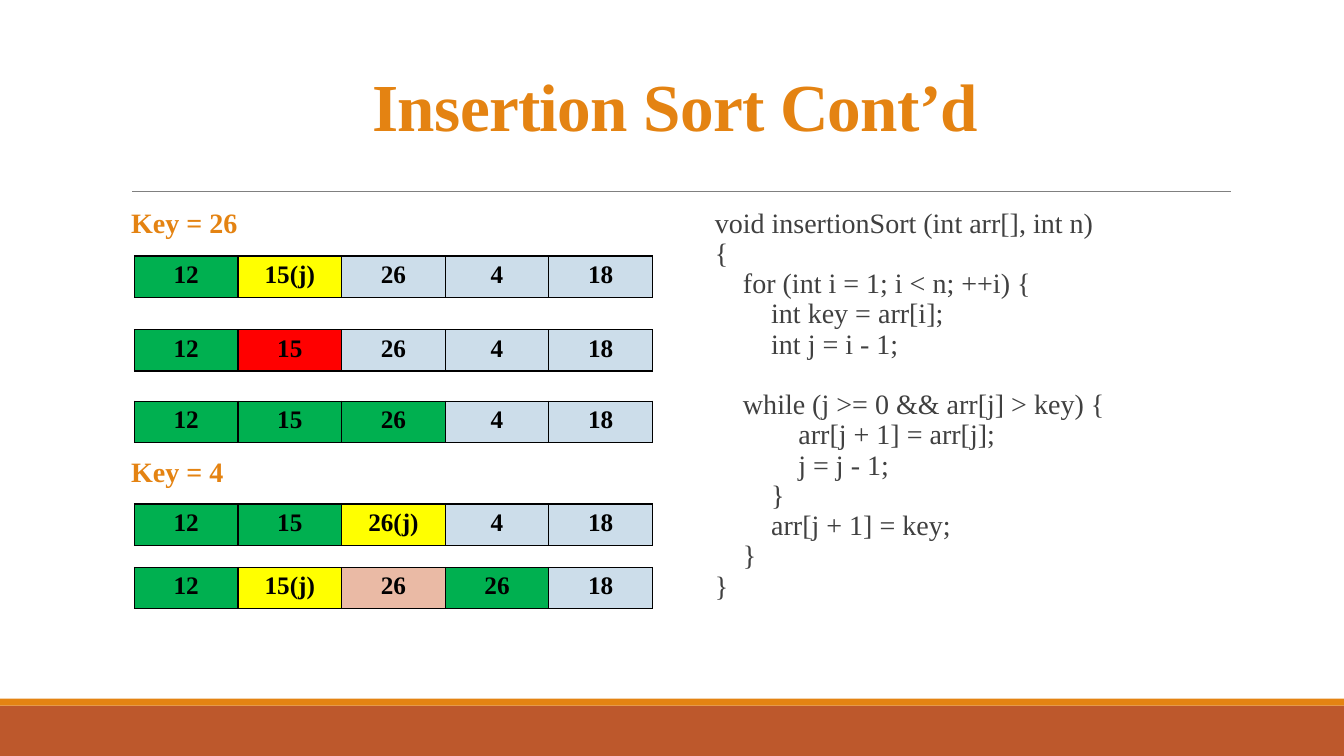
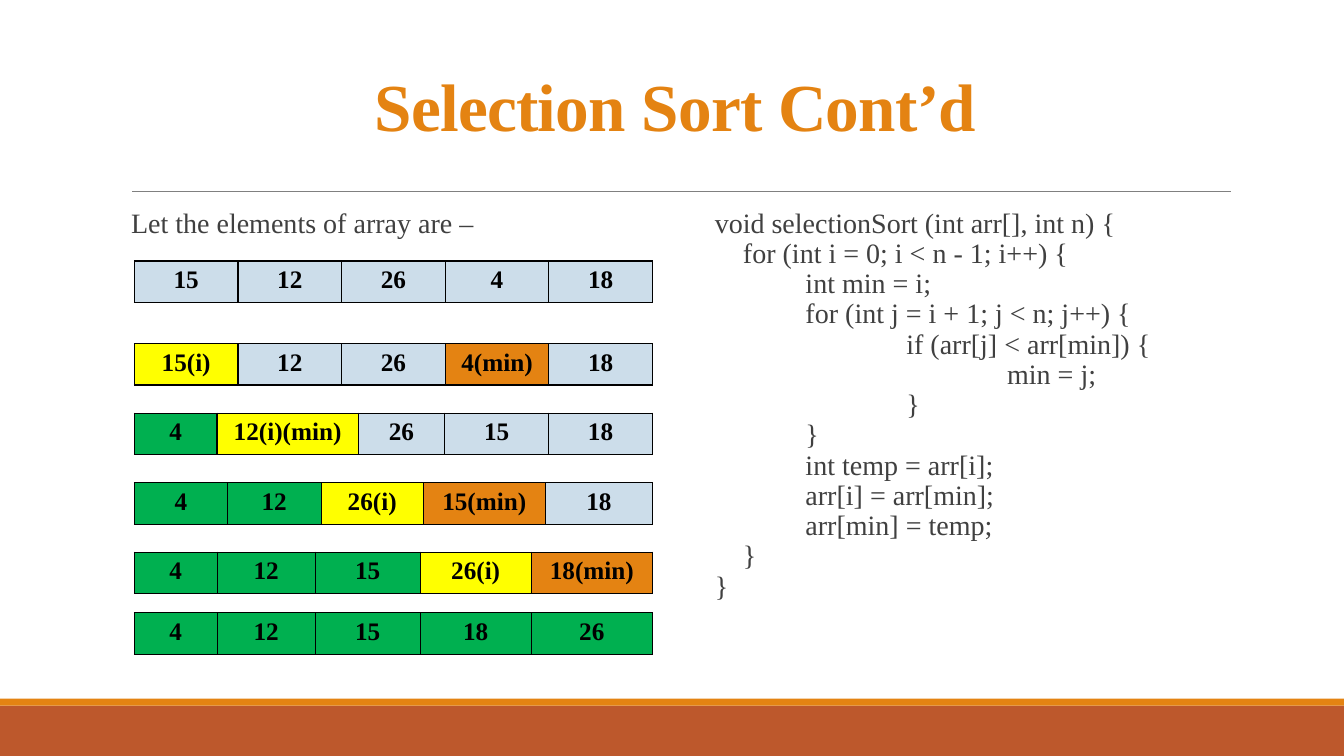
from collections import namedtuple

from pptx import Presentation
from pptx import util as u
from pptx.dml.color import RGBColor
from pptx.enum import shapes, text
from pptx.oxml import parse_xml
from pptx.oxml.ns import nsdecls
from pptx.oxml.xmlchemy import OxmlElement

# Boxes are given in percent of the slide's width and height
Box = namedtuple("Box", "left top width height")
SLIDE_WIDTH, SLIDE_HEIGHT = u.Inches(13.33), u.Inches(7.5)

FONT = "Times New Roman"
ACCENT, BAND, RULE, BODY, INK = "E48312", "BD582C", "808080", "404040", "000000"
STATE_FILLS = {
    "s": "00B050",  # sorted
    "u": "CCDDEA",  # unsorted
    "c": "FFFF00",  # current
    "m": ACCENT,    # minimum
    "x": "FF0000",  # comparison stops
    "h": "EABAA5",  # shifted
}

TITLE_BOX = Box(9, 4.13, 82.5, 21.2)
ARRAY_BOX = Box(9, 26.93, 40.5, 62)
CODE_BOX = Box(52.43, 26.93, 39.1, 64.67)
LINE_HEIGHT = 21.6
ROW_HEIGHT = 5.47
EVEN = (1, 1, 1, 1, 1)
LATE = (82, 97, 104, 110, 120)


def colour(hex_string):
    return RGBColor.from_string(hex_string)


def place(box):
    return (int(SLIDE_WIDTH * box.left / 100), int(SLIDE_HEIGHT * box.top / 100),
            int(SLIDE_WIDTH * box.width / 100), int(SLIDE_HEIGHT * box.height / 100))


def add_run(paragraph, words, size, hex_string, bold=False):
    run = paragraph.add_run()
    run.text = words
    run.font.name, run.font.size, run.font.bold = FONT, u.Pt(size), bold
    run.font.color.rgb = colour(hex_string)
    return run


# Bands and rule, kept on the layout so that all slides share them
def decorate_layout(slide):
    parts = []
    for box, fill in ((Box(0, 93.33, 100, 6.67), BAND), (Box(0, 92.4, 100, 0.93), ACCENT)):
        band = slide.shapes.add_shape(shapes.MSO_SHAPE.RECTANGLE, *place(box))
        band.shadow.inherit = False
        band.fill.solid()
        band.fill.fore_color.rgb = colour(fill)
        band.line.fill.background()
        parts.append(band)
    left, top, width, _ = place(Box(9.83, 25.33, 81.77, 0))
    rule = slide.shapes.add_connector(shapes.MSO_CONNECTOR.STRAIGHT, left, top, left + width, top)
    rule.line.color.rgb = colour(RULE)
    rule.line.width = u.Pt(0.5)
    rule._element.spPr.append(OxmlElement("a:effectLst"))
    parts.append(rule)
    for part in parts:
        slide.slide_layout.shapes._spTree.append(part._element)


def write_title(slide, box, words):
    title = slide.shapes.title
    title.left, title.top, title.width, title.height = place(box)
    frame = title.text_frame
    frame.word_wrap = True
    frame.auto_size = text.MSO_AUTO_SIZE.NONE
    frame.vertical_anchor = text.MSO_ANCHOR.MIDDLE
    paragraph = frame.paragraphs[0]
    paragraph.alignment = text.PP_ALIGN.CENTER
    paragraph.line_spacing = 0.85
    run = add_run(paragraph, words, 48, ACCENT, True)
    run._r.get_or_add_rPr().set("spc", "-50")


# Lines are (indent in inches, words, blank lines before)
def write_lines(slide, box, lines, hex_string=BODY, bold=False):
    frame = slide.shapes.add_textbox(*place(box)).text_frame
    frame.word_wrap = True
    frame.margin_left = frame.margin_right = 0
    for number, (indent, words, gap) in enumerate(lines):
        paragraph = frame.add_paragraph() if number else frame.paragraphs[0]
        paragraph.line_spacing = u.Pt(LINE_HEIGHT)
        paragraph.space_before = u.Pt(LINE_HEIGHT * gap)
        paragraph._p.get_or_add_pPr().set("marL", str(u.Inches(indent)))
        add_run(paragraph, words, 20, hex_string, bold)


def style_cell(cell, words, fill):
    properties = cell._tc.get_or_add_tcPr()
    for side in "LRTB":
        properties.append(parse_xml(
            f'<a:ln{side} {nsdecls("a")} w="12700"><a:solidFill>'
            f'<a:srgbClr val="{INK}"/></a:solidFill></a:ln{side}>'))
    cell.fill.solid()
    cell.fill.fore_color.rgb = colour(fill)
    paragraph = cell.text_frame.paragraphs[0]
    paragraph.alignment = text.PP_ALIGN.CENTER
    add_run(paragraph, words, 18, INK, True)


# One array state: values, a state letter for each, and relative widths
def draw_array(slide, box, values, states, weights):
    values = values.split()
    place_on_slide = place(box)
    table = slide.shapes.add_table(1, len(values), *place_on_slide).table
    table.first_row = table.horz_banding = False
    for index, (value, state, weight) in enumerate(zip(values, states, weights)):
        table.columns[index].width = int(place_on_slide[2] * weight / sum(weights))
        style_cell(table.cell(0, index), value, STATE_FILLS[state])


# Labels and arrays, each with its offset below the top of the box
def draw_array_panel(slide, box, labels, arrays, label_colour, bold):
    for offset, words in labels:
        label_box = Box(box.left, box.top + offset, box.width, ROW_HEIGHT)
        write_lines(slide, label_box, [(0.1, words, 0)], label_colour, bold)
    for offset, values, states, weights in arrays:
        array_box = Box(box.left + 1, box.top + offset, box.width - 1.95, ROW_HEIGHT)
        draw_array(slide, array_box, values, states, weights)


def build_sort_slide(slide, title, labels, arrays, code, label_colour=BODY, bold=False):
    write_title(slide, TITLE_BOX, title)
    write_lines(slide, CODE_BOX, code)
    draw_array_panel(slide, ARRAY_BOX, labels, arrays, label_colour, bold)


INSERTION = dict(
    title="Insertion Sort Cont’d",
    labels=[(0, "Key = 26"), (32.93, "Key = 4")],
    label_colour=ACCENT,
    bold=True,
    arrays=[
        (6.93, "12 15(j) 26 4 18", "scuuu", EVEN),
        (16.67, "12 15 26 4 18", "sxuuu", EVEN),
        (26.13, "12 15 26 4 18", "sssuu", EVEN),
        (39.73, "12 15 26(j) 4 18", "sscuu", EVEN),
        (48.13, "12 15(j) 26 26 18", "schsu", EVEN),
    ],
    code=[
        (0.1, "void insertionSort (int arr[], int n)", 0),
        (0.1, "{", 0),
        (0.38, "for (int i = 1; i < n; ++i) {", 0),
        (0.66, "int key = arr[i];", 0),
        (0.66, "int j = i - 1;", 0),
        (0.38, "while (j >= 0 && arr[j] > key) {", 1),
        (0.93, "arr[j + 1] = arr[j];", 0),
        (0.93, "j = j - 1;", 0),
        (0.66, "}", 0),
        (0.66, "arr[j + 1] = key;", 0),
        (0.38, "}", 0),
        (0.1, "}", 0),
    ],
)

SELECTION = dict(
    title="Selection Sort Cont’d",
    labels=[(0, "Let the elements of array are –")],
    arrays=[
        (7.6, "15 12 26 4 18", "uuuuu", EVEN),
        (18.53, "15(i) 12 26 4(min) 18", "cuumu", EVEN),
        (27.73, "4 12(i)(min) 26 15 18", "scuuu", (82, 140, 86, 103, 103)),
        (36.93, "4 12 26(i) 15(min) 18", "sscmu", (92, 93, 101, 121, 106)),
        (46.13, "4 12 15 26(i) 18(min)", "ssscm", LATE),
        (54.13, "4 12 15 18 26", "sssss", LATE),
    ],
    code=[
        (0.1, "void selectionSort (int arr[], int n) {", 0),
        (0.38, "for (int i = 0; i < n - 1; i++) {", 0),
        (1, "int min = i;", 0),
        (1, "for (int j = i + 1; j < n; j++) {", 0),
        (2, "if (arr[j] < arr[min]) {", 0),
        (3, "min = j;", 0),
        (2, "}", 0),
        (1, "}", 0),
        (1, "int temp = arr[i];", 0),
        (1, "arr[i] = arr[min];", 0),
        (1, "arr[min] = temp;", 0),
        (0.38, "}", 0),
        (0.1, "}", 0),
    ],
)


def main():
    presentation = Presentation()
    presentation.slide_width, presentation.slide_height = SLIDE_WIDTH, SLIDE_HEIGHT
    title_only = presentation.slide_layouts[5]
    for number, content in enumerate((INSERTION, SELECTION)):
        slide = presentation.slides.add_slide(title_only)
        if number == 0:
            decorate_layout(slide)
        build_sort_slide(slide, **content)
    presentation.save("out.pptx")


if __name__ == "__main__":
    main()
